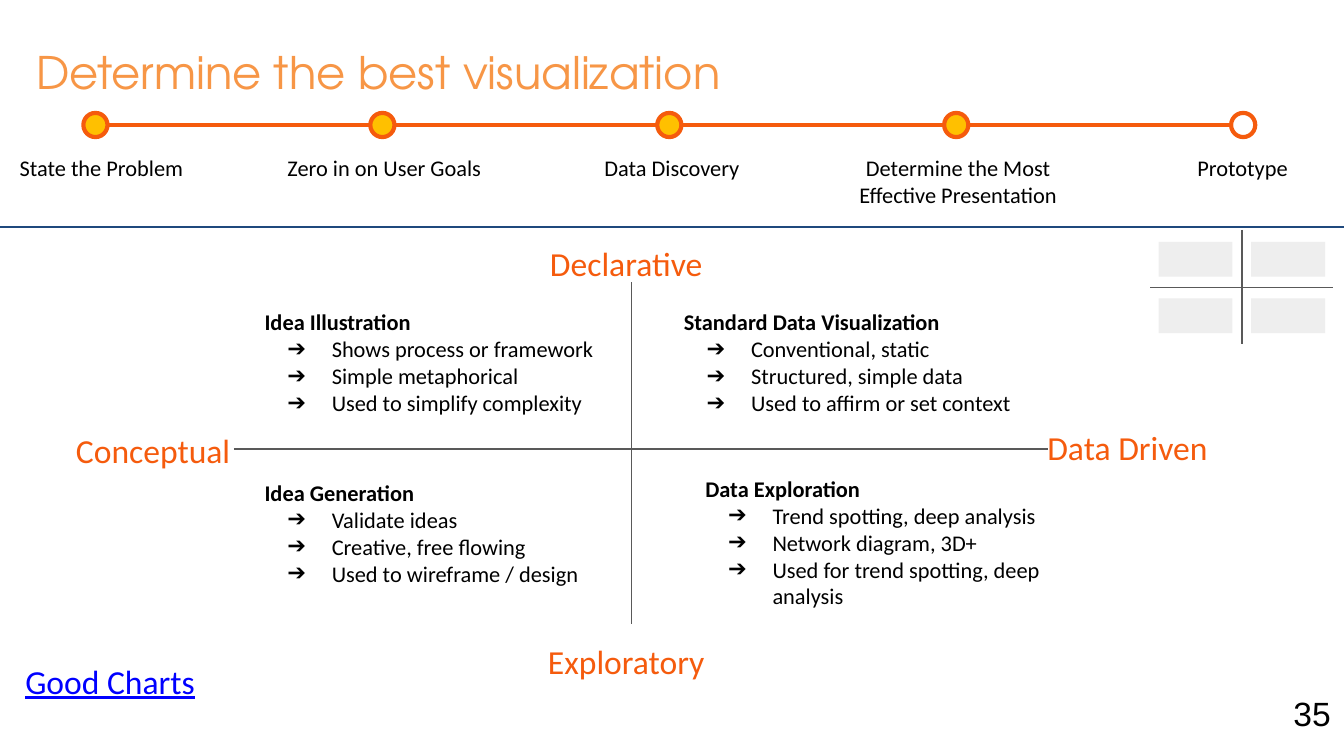
from lxml import etree
from pptx import Presentation
from pptx.dml.color import RGBColor
from pptx.enum import shapes, text
from pptx.oxml import ns
from pptx.util import Inches, Pt

ORANGE = RGBColor(0xF5, 0x5B, 0x0D)
PEACH = RGBColor(0xF7, 0x96, 0x46)
AMBER = RGBColor(0xFF, 0xC0, 0x00)
NAVY = RGBColor(0x1F, 0x49, 0x7D)
BLUE = RGBColor(0x00, 0x00, 0xFF)
GREY = RGBColor(0x59, 0x59, 0x59)
PALE = RGBColor(0xEE, 0xEE, 0xEE)
WHITE = RGBColor(0xFF, 0xFF, 0xFF)
BLACK = RGBColor(0x00, 0x00, 0x00)

LEFT, CENTER, RIGHT = text.PP_ALIGN.LEFT, text.PP_ALIGN.CENTER, text.PP_ALIGN.RIGHT
TOP, MIDDLE = text.MSO_ANCHOR.TOP, text.MSO_ANCHOR.MIDDLE

# Step name, label left, label width, done
STEPS = [
    ("State the Problem", 0, 1.51, True),
    ("Zero in on User Goals", 2.02, 1.68, True),
    ("Data Discovery", 4.22, 1.56, True),
    ("Determine the Most Effective Presentation", 6.13, 2, True),
    ("Prototype", 8.49, 1.51, False),
]
TRACK_START, TRACK_END, TRACK_Y, DOT = 0.71, 9.25, 0.93, 0.18

QUADRANTS = [
    ("Idea Illustration", (1.87, 2.22, 3.28, 0.95),
     ["Shows process or framework", "Simple metaphorical", "Used to simplify complexity"]),
    ("Standard Data Visualization", (4.99, 2.22, 3.04, 0.95),
     ["Conventional, static", "Structured, simple data", "Used to affirm or set context"]),
    ("Idea Generation", (1.87, 3.26, 3.28, 1.41),
     ["Validate ideas", "Creative, free flowing", "Used to wireframe / design"]),
    ("Data Exploration", (5.15, 3.33, 3.23, 1.41),
     ["Trend spotting, deep analysis", "Network diagram, 3D+",
      "Used for trend spotting, deep analysis"]),
]
AXIS_LABELS = [
    ("Declarative", 3.93, 1.71),
    ("Exploratory", 3.93, 4.67),
    ("Conceptual", 0.41, 3.1),
    ("Data Driven", 7.66, 3.08),
]
AXES = [
    (4.7, 2.1, 4.7, 4.64),
    (1.74, 3.34, 7.8, 3.34),
    (9.24, 1.71, 9.24, 2.56),
    (8.56, 2.14, 9.92, 2.14),
]

prs = Presentation()
prs.slide_width = Inches(10)
prs.slide_height = prs.slide_width * 9 // 16
slide = prs.slides.add_slide(prs.slide_layouts[6])


def add_line(x1, y1, x2, y2, color, width=0.75):
    line = slide.shapes.add_connector(
        shapes.MSO_CONNECTOR.STRAIGHT, *map(Inches, (x1, y1, x2, y2)))
    line.line.color.rgb = color
    line.line.width = Pt(width)
    etree.SubElement(line._element.spPr, ns.qn("a:effectLst"))


def add_filled(kind, box, fill, outline=None):
    shape = slide.shapes.add_shape(kind, *map(Inches, box))
    shape.shadow.inherit = False
    shape.fill.solid()
    shape.fill.fore_color.rgb = fill
    if outline is None:
        shape.line.fill.background()
    else:
        shape.line.color.rgb = outline
        shape.line.width = Pt(2.25)


def add_frame(box, anchor=TOP):
    frame = slide.shapes.add_textbox(*map(Inches, box)).text_frame
    frame.word_wrap = True
    frame.vertical_anchor = anchor
    frame.margin_left = frame.margin_right = Inches(0.1)
    frame.margin_top = frame.margin_bottom = Inches(0.1)
    return frame


def add_run(paragraph, words, size, color=BLACK, font="Calibri", bold=False, underline=False):
    run = paragraph.add_run()
    run.text = words
    run.font.size, run.font.name = Pt(size), font
    run.font.bold, run.font.underline = bold, underline
    run.font.color.rgb = color


def add_label(words, box, size, align=LEFT, anchor=TOP, **style):
    paragraph = add_frame(box, anchor).paragraphs[0]
    paragraph.alignment = align
    add_run(paragraph, words, size, **style)


def add_arrow_bullet(paragraph):
    props = paragraph._p.get_or_add_pPr()
    props.set("marL", str(Inches(0.5)))
    props.set("indent", str(Inches(-0.33)))
    color = etree.SubElement(props, ns.qn("a:buClr"))
    etree.SubElement(color, ns.qn("a:srgbClr"), val=str(BLACK))
    etree.SubElement(props, ns.qn("a:buFont"), typeface="Calibri")
    etree.SubElement(props, ns.qn("a:buChar"), char="➔")


add_label("Determine the best visualization", (0.17, 0.23, 7.92, 0.58), 24,
          color=PEACH, font="TeX Gyre Adventor")
add_label("35", (9.4, 5.09, 0.6, 0.43), 18, RIGHT, MIDDLE, font="Arial")
add_label("Good Charts", (0.09, 4.83, 9.03, 0.47), 18, anchor=MIDDLE,
          color=BLUE, underline=True)

# Progress track
add_line(TRACK_START, TRACK_Y, TRACK_END, TRACK_Y, ORANGE, 2.25)
step_gap = (TRACK_END - TRACK_START) / (len(STEPS) - 1)
for i, (step, left, width, done) in enumerate(STEPS):
    dot_left = TRACK_START + i * step_gap - DOT / 2
    add_filled(shapes.MSO_SHAPE.OVAL, (dot_left, TRACK_Y - DOT / 2, DOT, DOT),
               AMBER if done else WHITE, ORANGE)
    add_label(step, (left, 1.05, width, 0.68), 12, CENTER)
add_line(0, 1.69, 10, 1.69, NAVY)

# Quadrants
for heading, box, points in QUADRANTS:
    frame = add_frame(box, MIDDLE)
    add_run(frame.paragraphs[0], heading, 12, bold=True)
    for point in points:
        paragraph = frame.add_paragraph()
        add_arrow_bullet(paragraph)
        add_run(paragraph, point, 12)
for axis in AXES:
    add_line(*axis, GREY)
for words, left, top in AXIS_LABELS:
    add_label(words, (left, top, 1.46, 0.36), 18, CENTER, color=ORANGE)

# Small quadrant key
for top in (1.8, 2.22):
    for left in (8.62, 9.31):
        add_filled(shapes.MSO_SHAPE.RECTANGLE, (left, top, 0.55, 0.26), PALE)

prs.save("out.pptx")
